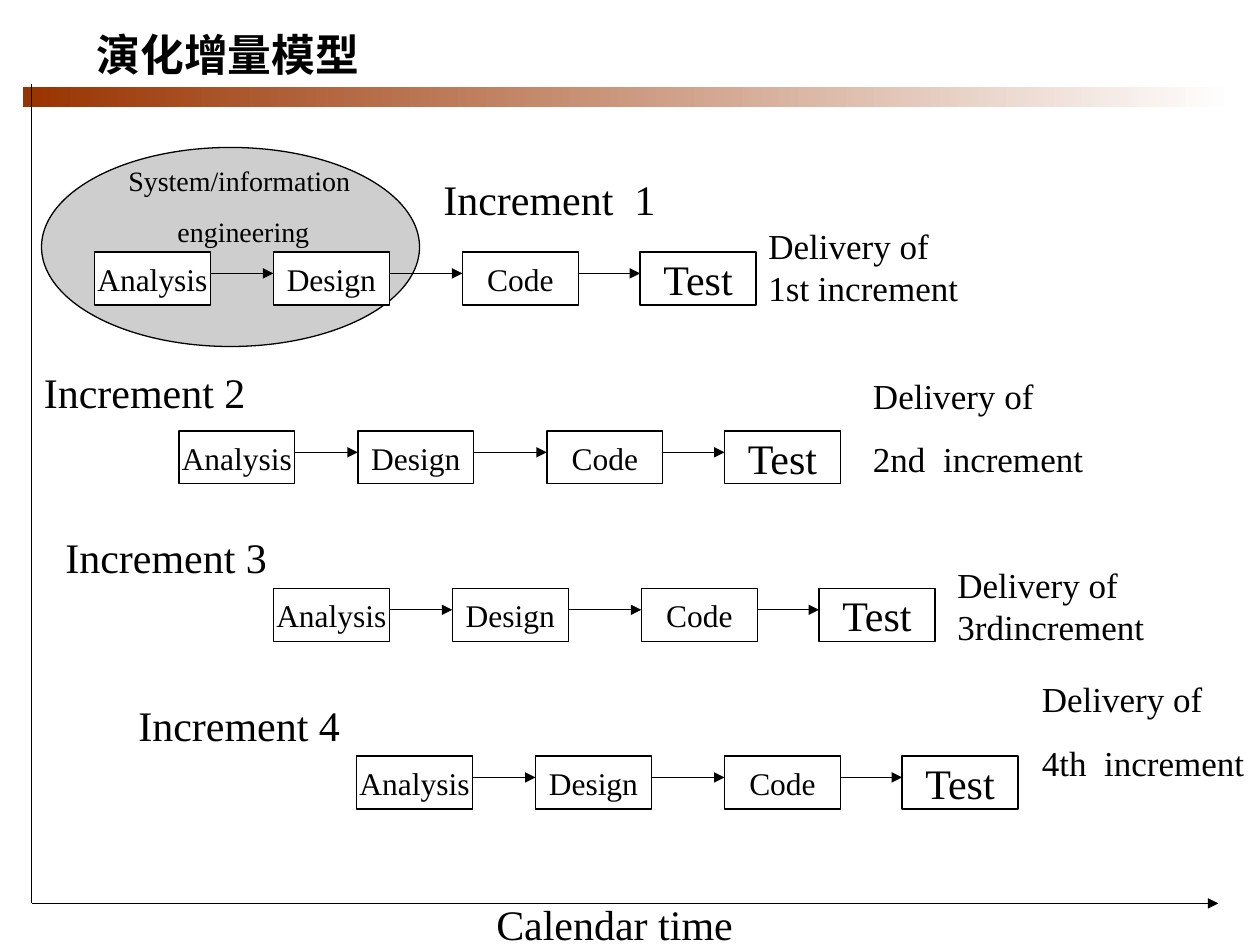
from lxml import etree
from pptx import Presentation
from pptx.dml.color import RGBColor
from pptx.enum import shapes, text
from pptx.oxml.ns import qn
from pptx.util import Inches, Pt

# Content
COLORS = {"ink": "000000", "paper": "FFFFFF", "rust": "993300", "gray": "CECECE"}
SERIF = "Times New Roman"
TITLE = "演化增量模型"
AXIS_LABEL = "Calendar time"
SCOPE = ["System/information", "engineering"]

# Steps: name, offset from the start of the row, text size
STEPS = [("Analysis", 0, 18), ("Design", 1.42, 18), ("Code", 2.92, 18), ("Test", 4.33, 24)]
STEP_W, STEP_H, ARROW_DROP = 0.92, 0.42, 0.17

# Row start, label with its place, delivery lines with place and space before
INCREMENTS = [
    {"start": (0.75, 2), "label": "Increment  1", "label_at": (3.42, 1.33, 1.98, 0.5),
     "delivery": ["Delivery of", "1st increment"], "delivery_at": (6, 1.73, 2.49, 0.77), "gap": 0},
    {"start": (1.42, 3.42), "label": "Increment 2", "label_at": (0.25, 2.86, 1.8, 0.5),
     "delivery": ["Delivery of", "2nd  increment"], "delivery_at": (6.83, 2.92, 2.58, 0.94), "gap": 12.5},
    {"start": (2.17, 4.67), "label": "Increment 3", "label_at": (0.42, 4.17, 2.42, 0.5),
     "delivery": ["Delivery of", "3rdincrement"], "delivery_at": (7.5, 4.42, 2.17, 0.77), "gap": 0},
    {"start": (2.83, 6), "label": "Increment 4", "label_at": (1, 5.5, 2.08, 0.5),
     "delivery": ["Delivery of", "4th  increment"], "delivery_at": (8.17, 5.33, 2.25, 0.94), "gap": 12.5},
]

deck = Presentation()
deck.slide_width, deck.slide_height = Inches(10), Inches(7.5)
page = deck.slides.add_slide(deck.slide_layouts[6])


def color(name):
    return RGBColor.from_string(COLORS[name])


def write(frame, lines, size, font=SERIF, bold=False, gap=0):
    for index, line in enumerate(lines):
        para = frame.paragraphs[0] if index == 0 else frame.add_paragraph()
        para.space_before = Pt(gap)
        span = para.add_run()
        span.text = line
        span.font.name, span.font.size, span.font.bold = font, Pt(size), bold
        span.font.color.rgb = color("ink")


def add_text(place, lines, size, wrap=True, **style):
    frame = page.shapes.add_textbox(*map(Inches, place)).text_frame
    frame.word_wrap = wrap
    write(frame, lines, size, **style)
    return frame


def add_shape(kind, place, fill):
    shape = page.shapes.add_shape(kind, *map(Inches, place))
    shape.shadow.inherit = False
    shape.fill.solid()
    shape.fill.fore_color.rgb = color(fill)
    shape.line.color.rgb = color("ink")
    shape.line.width = Pt(0.75)
    return shape


def add_line(start, end, arrow=False):
    line = page.shapes.add_connector(
        shapes.MSO_CONNECTOR.STRAIGHT, *map(Inches, (*start, *end)))
    line.line.color.rgb = color("ink")
    line.line.width = Pt(0.75)
    if arrow:
        etree.SubElement(line.line._get_or_add_ln(), qn("a:tailEnd"), type="triangle")
    etree.SubElement(line._element.spPr, qn("a:effectLst"))


# Title and gradient bar
bar = add_shape(shapes.MSO_SHAPE.RECTANGLE, (0.18, 0.69, 9.61, 0.16), "rust")
bar.line.fill.background()
bar.fill.gradient()
bar.fill.gradient_angle = 0
for stop, name, position in zip(bar.fill.gradient_stops, ("rust", "paper"), (0, 1)):
    stop.color.rgb = color(name)
    stop.position = position
title = add_text((0.67, 0.17, 2.92, 0.58), [TITLE], 25, font="Arial", bold=True, gap=3.1)
title.vertical_anchor = text.MSO_ANCHOR.MIDDLE
title.paragraphs[0].line_spacing = 0.85
title.paragraphs[0].space_after = Pt(3.1)

# System engineering scope, behind the first row
add_shape(shapes.MSO_SHAPE.OVAL, (0.33, 1.17, 3, 1.58), "gray")
scope = add_text((0.92, 1.25, 2.08, 0.77), SCOPE, 16, gap=10)
scope.paragraphs[1]._p.get_or_add_pPr().set("marL", str(Inches(0.39)))

# Increments: a chain of steps, a label and a delivery
for increment in INCREMENTS:
    left, top = increment["start"]
    arrow_y = top + ARROW_DROP
    for index, (name, offset, size) in enumerate(STEPS):
        x = left + offset
        box = add_shape(shapes.MSO_SHAPE.RECTANGLE, (x, top, STEP_W, STEP_H), "paper")
        box.text_frame.word_wrap = False
        box.text_frame.vertical_anchor = text.MSO_ANCHOR.MIDDLE
        write(box.text_frame, [name], size)
        box.text_frame.paragraphs[0].alignment = text.PP_ALIGN.CENTER
        if index:
            previous_end = left + STEPS[index - 1][1] + STEP_W
            add_line((previous_end, arrow_y), (x, arrow_y), arrow=True)
    add_text(increment["label_at"], [increment["label"]], 24)
    add_text(increment["delivery_at"], increment["delivery"], 20, gap=increment["gap"])

# Time axes
add_line((0.25, 0.67), (0.25, 7.17))
add_line((0.25, 7.17), (9.67, 7.17), arrow=True)
add_text((3.84, 7.08, 2.08, 0.5), [AXIS_LABEL], 24, wrap=False)

deck.save("out.pptx")
